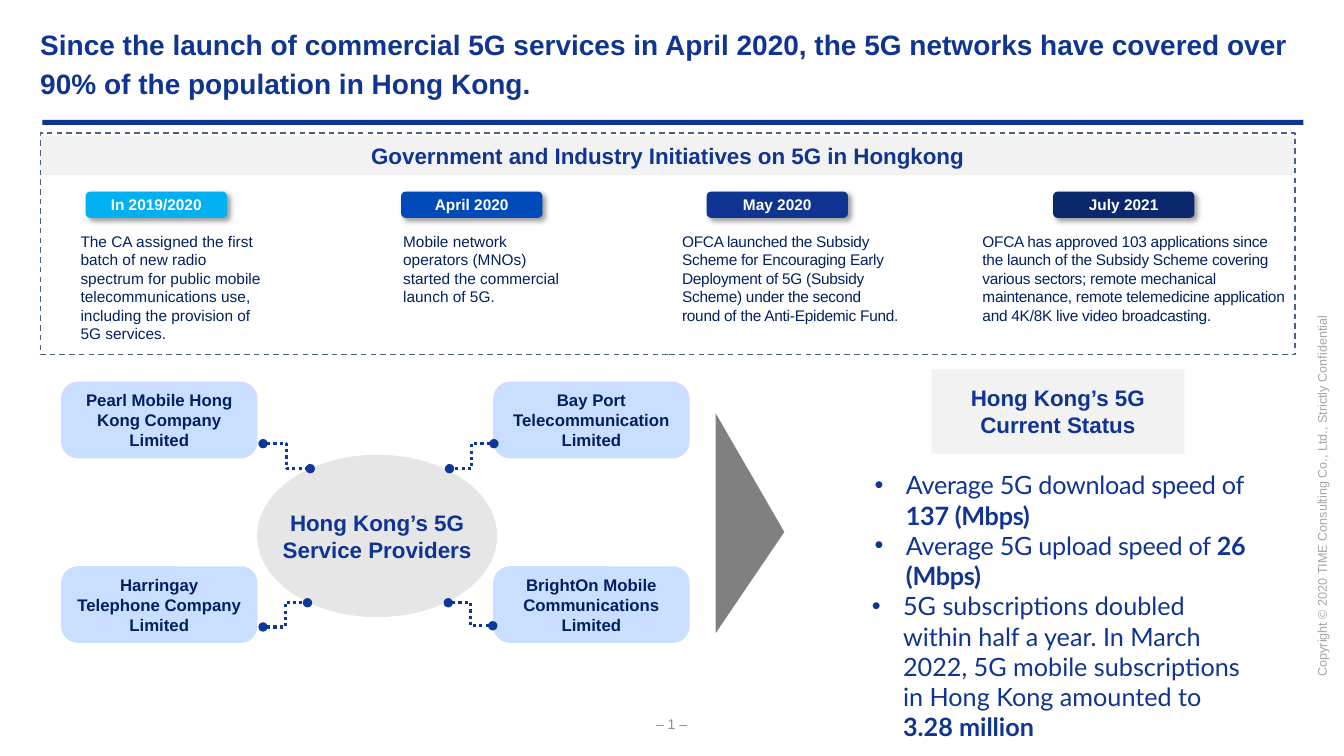
"""Build a one-page overview of 5G initiatives, providers and status in Hong Kong."""
import dataclasses

import lxml.etree
import pptx
import pptx.dml.color
import pptx.enum.dml
import pptx.enum.shapes
import pptx.enum.text
import pptx.oxml
import pptx.oxml.ns
import pptx.util

Cm, Pt = pptx.util.Cm, pptx.util.Pt
SHAPE = pptx.enum.shapes.MSO_SHAPE
ALIGN = pptx.enum.text.PP_ALIGN
ANCHOR = pptx.enum.text.MSO_ANCHOR
DASH = pptx.enum.dml.MSO_LINE
rgb = pptx.dml.color.RGBColor.from_string
qn = pptx.oxml.ns.qn


@dataclasses.dataclass(frozen=True)
class Theme:
    font: str = "Arial"
    status_font: str = "Lato"
    brand: str = "0F3492"
    body: str = "002060"
    white: str = "FFFFFF"
    band: str = "F2F2F2"
    provider: str = "CADEFF"
    hub: str = "E6E6E6"
    arrow: str = "808080"
    frame: str = "4B6284"
    link: str = "0F3699"
    page: str = "8C8C8C"
    copyright: str = "A6A6A6"
    title_size: int = 20
    status_size: int = 18
    heading_size: int = 16
    provider_size: int = 12
    body_size: int = 11
    page_size: int = 10
    copyright_size: int = 9


theme = Theme()


def add_block(kind, left, top, width, height, fill=None):
    """Add a preset shape, or a text box when kind is None."""
    area = [Cm(length) for length in (left, top, width, height)]
    if kind is None:
        return slide.shapes.add_textbox(*area)
    block = slide.shapes.add_shape(kind, *area)
    block.shadow.inherit = False
    block.line.fill.background()
    if fill:
        block.fill.solid()
        block.fill.fore_color.rgb = rgb(fill)
    else:
        block.fill.background()
    return block


def write(block, text, size, color, bold=False, align=ALIGN.CENTER,
          anchor=ANCHOR.MIDDLE, font=theme.font, spacing=0):
    """Set the text of a block and format its runs."""
    frame = block.text_frame
    frame.text = text
    frame.word_wrap = True
    frame.vertical_anchor = anchor
    paragraph = frame.paragraphs[0]
    paragraph.alignment = align
    for run in paragraph.runs:
        run.font.name = font
        run.font.size = Pt(size)
        run.font.bold = bold
        run.font.color.rgb = rgb(color)
        if spacing:
            run.font._element.set("spc", str(spacing))
    return paragraph


presentation = pptx.Presentation()
presentation.slide_width, presentation.slide_height = Cm(33.87), Cm(19.05)
slide = presentation.slides.add_slide(presentation.slide_layouts[5])

title = slide.shapes.title
title.left, title.top, title.width, title.height = Cm(0.76), Cm(0.46), Cm(32.39), Cm(2.18)
headline = write(title, "Since the launch of commercial 5G services in April 2020, the 5G networks "
                 "have covered over 90% of the population in Hong Kong.",
                 theme.title_size, theme.brand, True, ALIGN.LEFT)
headline.line_spacing = 1.14
title.text_frame.auto_size = pptx.enum.text.MSO_AUTO_SIZE.NONE

add_block(SHAPE.RECTANGLE, 1.07, 3.02, 31.78, 0.13, theme.brand)
write(add_block(None, 15.67, 17.98, 2.51, 0.53), "– 1 –", theme.page_size, theme.page)
copyright_line = add_block(None, 28.3, 11.96, 10.03, 0.64)
copyright_line.rotation = 270
write(copyright_line, "Copyright © 2020 TIME Consulting Co., Ltd., Strictly Confidential",
      theme.copyright_size, theme.copyright, align=ALIGN.LEFT, anchor=ANCHOR.TOP)

initiatives_heading = add_block(SHAPE.RECTANGLE, 1.02, 3.43, 31.62, 0.99, theme.band)
write(initiatives_heading, "Government and Industry Initiatives on 5G in Hongkong",
      theme.heading_size, theme.brand, True)
initiatives_frame = add_block(SHAPE.RECTANGLE, 1.02, 3.35, 31.62, 5.59)
initiatives_frame.line.color.rgb = rgb(theme.frame)
initiatives_frame.line.width = Pt(1)
initiatives_frame.line.dash_style = DASH.DASH

initiatives = [
    ("In 2019/2020", "00B0F0", 2.16, 1.78, 5.18, 3.07, 0,
     "The CA assigned the first batch of new radio spectrum for public mobile "
     "telecommunications use, including the provision of 5G services."),
    ("April 2020", "014AB9", 10.11, 9.91, 4.57, 2.13, 0,
     "Mobile network operators (MNOs) started the commercial launch of 5G."),
    ("May 2020", theme.brand, 17.81, 16.94, 6.05, 2.62, -20,
     "OFCA launched the Subsidy Scheme for Encouraging Early Deployment of 5G "
     "(Subsidy Scheme) under the second round of the Anti-Epidemic Fund."),
    ("July 2021", "0B276E", 26.54, 24.51, 8.13, 2.62, -20,
     "OFCA has approved 103 applications since the launch of the Subsidy Scheme covering "
     "various sectors; remote mechanical maintenance, remote telemedicine application "
     "and 4K/8K live video broadcasting."),
]
for date, color, date_left, left, width, height, spacing, story in initiatives:
    date_tag = add_block(SHAPE.ROUNDED_RECTANGLE, date_left, 4.83, 3.56, 0.66, color)
    write(date_tag, date, theme.body_size, theme.white, True)
    effects = date_tag._element.spPr.find(qn("a:effectLst"))
    shadow = lxml.etree.SubElement(effects, qn("a:outerShdw"), blurRad=str(Pt(4)),
                                   dist=str(Pt(3)), dir="2700000", algn="tl", rotWithShape="0")
    tint = lxml.etree.SubElement(shadow, qn("a:srgbClr"), val="000000")
    lxml.etree.SubElement(tint, qn("a:alpha"), val="40000")
    write(add_block(None, left, 5.72, width, height), story, theme.body_size, theme.body,
          align=ALIGN.LEFT, anchor=ANCHOR.TOP, spacing=spacing)

hub = add_block(SHAPE.OVAL, 6.48, 11.46, 6.05, 4.09, theme.hub)
write(hub, "Hong Kong’s 5G\vService Providers", theme.heading_size, theme.brand, True)
hub.text_frame.word_wrap = False

providers = [
    ("Pearl Mobile Hong Kong Company Limited", 1.54, 9.62),
    ("Bay Port Telecommunication Limited", 12.43, 9.62),
    ("Harringay Telephone Company Limited", 1.54, 14.27),
    ("BrightOn Mobile Communications Limited", 12.43, 14.27),
]
for name, left, top in providers:
    provider = add_block(SHAPE.ROUNDED_RECTANGLE, left, top, 4.95, 1.93, theme.provider)
    provider.adjustments[0] = 0.22
    provider.text_frame.margin_left = provider.text_frame.margin_right = Cm(0.27)
    write(provider, name, theme.provider_size, theme.body, True)

links = [
    (6.63, 11.18, 7.82, 11.81),
    (6.63, 15.8, 7.75, 15.19),
    (12.42, 15.77, 11.3, 15.19),
    (12.45, 11.18, 11.33, 11.81),
]
for ends in links:
    link = slide.shapes.add_connector(pptx.enum.shapes.MSO_CONNECTOR.ELBOW,
                                      *[Cm(length) for length in ends])
    link.line.color.rgb = rgb(theme.link)
    link.line.width = Pt(2.25)
    link.line.dash_style = DASH.ROUND_DOT
    stroke = link.line._get_or_add_ln()
    for tip in ("a:headEnd", "a:tailEnd"):
        lxml.etree.SubElement(stroke, qn(tip), type="oval")
    lxml.etree.SubElement(link._element.spPr, qn("a:effectLst"))

arrow = add_block(SHAPE.ISOSCELES_TRIANGLE, 16.13, 12.32, 5.54, 1.73, theme.arrow)
arrow.rotation = 90
arrow.adjustments[0] = 0.54

status_heading = add_block(SHAPE.RECTANGLE, 23.47, 9.3, 6.38, 2.13, theme.band)
write(status_heading, "Hong Kong’s 5G Current Status", theme.heading_size, theme.brand, True)

statuses = [
    ("Average 5G download speed of ", "137 (Mbps)", 21.79, 11.71, 10.29, 1.02, -20),
    ("Average 5G upload speed of ", "26 (Mbps)", 21.79, 13.23, 10.29, 1.02, -20),
    ("5G subscriptions doubled within half a year. In March 2022, 5G mobile subscriptions "
     "in Hong Kong amounted to ", "3.28 million", 21.72, 14.76, 10.06, 2.57, 0),
]
for fact, figure, left, top, width, height, spacing in statuses:
    status = add_block(None, left, top, width, height)
    line = write(status, fact, theme.status_size, theme.brand, align=ALIGN.LEFT,
                 anchor=ANCHOR.TOP, font=theme.status_font, spacing=spacing)
    indent = line._p.get_or_add_pPr()
    indent.set("marL", str(Cm(0.79)))
    indent.set("indent", str(-Cm(0.79)))
    lxml.etree.SubElement(indent, qn("a:buFont"), typeface=theme.font)
    lxml.etree.SubElement(indent, qn("a:buChar"), char="•")
    value = line.add_run()
    value.text = figure
    value.font.name = theme.status_font
    value.font.size = Pt(theme.status_size)
    value.font.bold = True
    value.font.color.rgb = rgb(theme.brand)
    if spacing:
        value.font._element.set("spc", str(spacing))

presentation.save("out.pptx")
